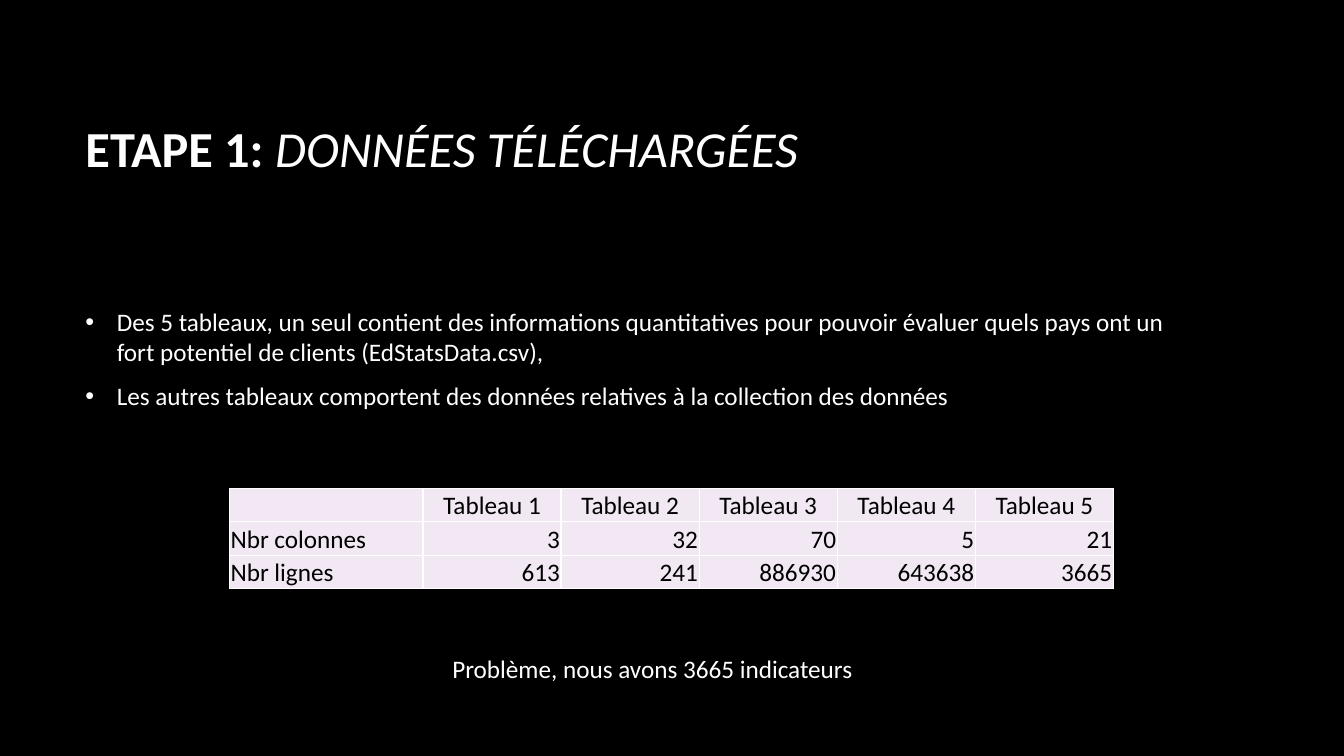
"""Build the slide on the downloaded data of step 1."""
from typing import NamedTuple

from lxml import etree
from pptx import Presentation
from pptx import util as u
from pptx.dml import color
from pptx.enum import text
from pptx.oxml import ns

HUES = {"back": "000000", "light": "FFFFFF", "dark": "000000", "cell": "F1E8F4"}
FACE = "Calibri"
ALIGN = text.PP_ALIGN
ANCHOR = text.MSO_ANCHOR


class Box(NamedTuple):
    """Place and size in centimetres."""
    left: float
    top: float
    width: float
    height: float


class Row(NamedTuple):
    """One table row: its label, values and alignment."""
    label: str
    values: list
    align: ALIGN
    anchor: ANCHOR


TITLE = Box(1.9, 1.7, 28.15, 4.04)
BODY = Box(1.9, 5.95, 28.15, 6.17)
GRID = Box(5.78, 12.31, 22.28, 2.52)
NOTE = Box(11.15, 16.33, 16.93, 1.03)
FIRST = 4.88

POINTS = [
    "Des 5 tableaux, un seul contient des informations quantitatives pour pouvoir "
    "évaluer quels pays ont un fort potentiel de clients (EdStatsData.csv),",
    "Les autres tableaux comportent des données relatives à la collection des données",
]
ROWS = [
    Row("", [f"Tableau {n}" for n in range(1, 6)], ALIGN.CENTER, ANCHOR.MIDDLE),
    Row("Nbr colonnes", [3, 32, 70, 5, 21], ALIGN.RIGHT, ANCHOR.BOTTOM),
    Row("Nbr lignes", [613, 241, 886930, 643638, 3665], ALIGN.RIGHT, ANCHOR.BOTTOM),
]


def tint(name: str) -> color.RGBColor:
    """Look up a colour by name."""
    return color.RGBColor.from_string(HUES[name])


def style(para, hue: str, size: int = 18) -> None:
    """Set the font of a paragraph."""
    para.font.name = FACE
    para.font.size = u.Pt(size)
    para.font.color.rgb = tint(hue)


def place(shape, box: Box) -> None:
    """Move and size a shape."""
    shape.left, shape.top, shape.width, shape.height = map(u.Cm, box)


def bullet(para) -> None:
    """Give a paragraph a white round bullet with a hanging indent."""
    props = para._p.get_or_add_pPr()
    props.set("marL", str(u.Cm(0.79)))
    props.set("indent", str(-u.Cm(0.79)))
    hue = etree.SubElement(props, ns.qn("a:buClr"))
    etree.SubElement(hue, ns.qn("a:srgbClr"), val=HUES["light"])
    etree.SubElement(props, ns.qn("a:buFont"), typeface="Arial")
    etree.SubElement(props, ns.qn("a:buChar"), char="•")


def border(cell) -> None:
    """Draw a white line on each side of a cell."""
    props = cell._tc.get_or_add_tcPr()
    for spot, side in enumerate("LRTB"):
        line = etree.Element(ns.qn(f"a:ln{side}"), w=str(u.Pt(1)))
        fill = etree.SubElement(line, ns.qn("a:solidFill"))
        etree.SubElement(fill, ns.qn("a:srgbClr"), val=HUES["light"])
        props.insert(spot, line)


def add_title(slide) -> None:
    """Fill the title with a bold and an italic part."""
    title = slide.shapes.title
    place(title, TITLE)
    frame = title.text_frame
    frame.vertical_anchor = ANCHOR.MIDDLE
    para = frame.paragraphs[0]
    para.alignment = ALIGN.LEFT
    style(para, "light", 36)
    step, topic = para.add_run(), para.add_run()
    step.text, topic.text = "ETAPE 1: ", "DONNÉES TÉLÉCHARGÉES"
    step.font.bold = True
    topic.font.italic = True


def add_body(slide) -> None:
    """Fill the body with the list of points."""
    body = slide.placeholders[1]
    place(body, BODY)
    frame = body.text_frame
    frame.auto_size = text.MSO_AUTO_SIZE.NONE
    frame.vertical_anchor = ANCHOR.MIDDLE
    frame.text = "\n".join(POINTS)
    for para in frame.paragraphs:
        para.space_before, para.space_after = u.Pt(0), u.Pt(10)
        bullet(para)
        style(para, "light")


def add_grid(slide) -> None:
    """Add the table of column and row counts."""
    count = len(ROWS[0].values)
    table = slide.shapes.add_table(len(ROWS), count + 1, *map(u.Cm, GRID)).table
    table.first_row = table.horz_banding = False
    for spot, column in enumerate(table.columns):
        column.width = u.Cm((GRID.width - FIRST) / count if spot else FIRST)
    for line, row in enumerate(ROWS):
        for spot, value in enumerate([row.label, *row.values]):
            cell = table.cell(line, spot)
            cell.margin_left = cell.margin_right = cell.margin_top = u.Cm(0.03)
            cell.margin_bottom = 0
            cell.vertical_anchor = row.anchor
            cell.fill.solid()
            cell.fill.fore_color.rgb = tint("cell")
            border(cell)
            cell.text = str(value)
            para = cell.text_frame.paragraphs[0]
            para.alignment = row.align if spot else ALIGN.LEFT
            style(para, "dark")


def add_note(slide) -> None:
    """Add the closing remark."""
    frame = slide.shapes.add_textbox(*map(u.Cm, NOTE)).text_frame
    frame.word_wrap = True
    frame.auto_size = text.MSO_AUTO_SIZE.SHAPE_TO_FIT_TEXT
    frame.text = "Problème, nous avons 3665 indicateurs"
    style(frame.paragraphs[0], "light")


def main() -> None:
    """Build and save the slide."""
    deck = Presentation()
    deck.slide_width, deck.slide_height = u.Cm(33.87), u.Cm(19.05)
    slide = deck.slides.add_slide(deck.slide_layouts[1])
    slide.background.fill.solid()
    slide.background.fill.fore_color.rgb = tint("back")
    for draw in (add_title, add_body, add_grid, add_note):
        draw(slide)
    deck.save("out.pptx")


if __name__ == "__main__":
    main()
